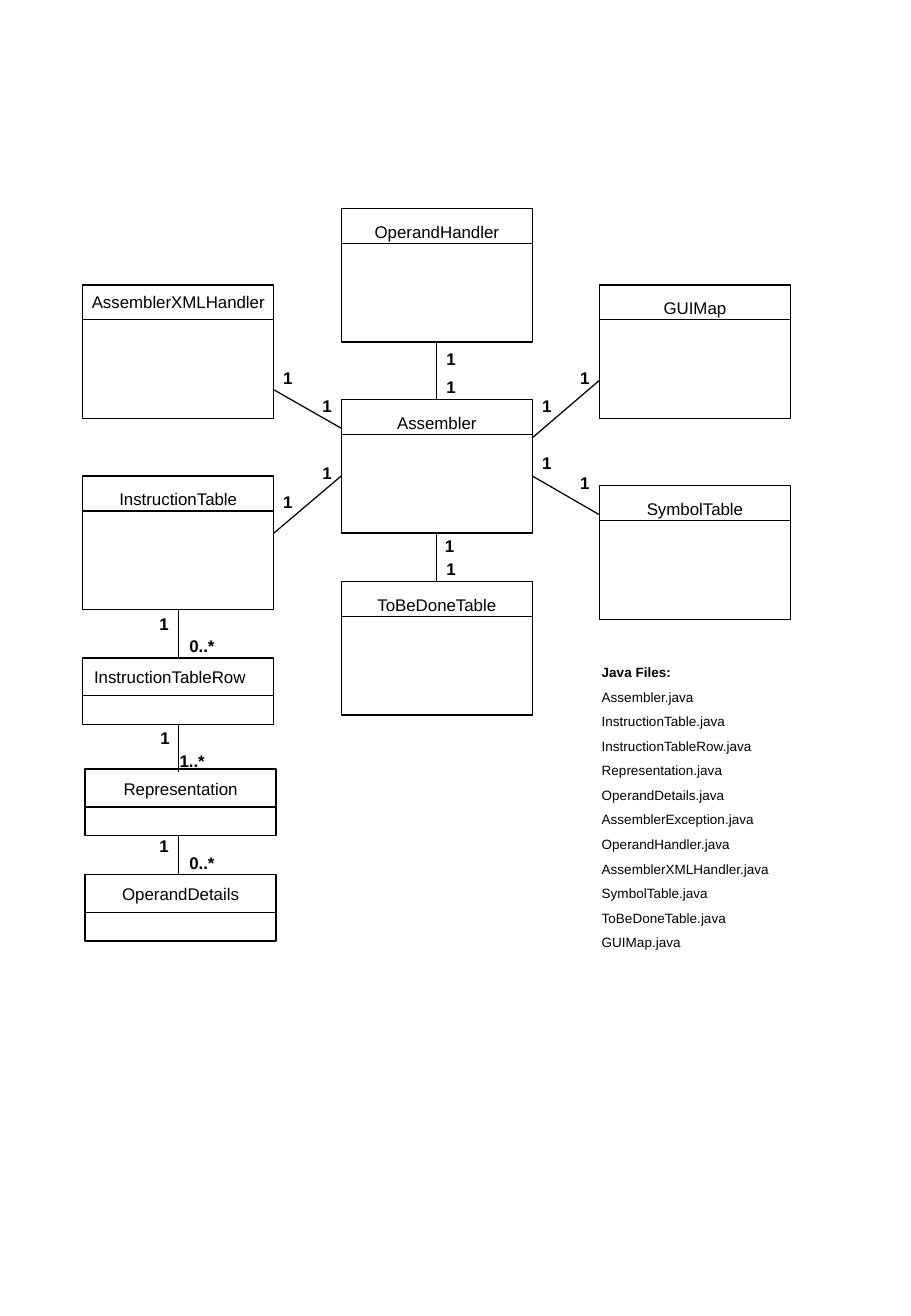
import dataclasses

import lxml.etree
import pptx
import pptx.dml.color
import pptx.enum.shapes
import pptx.enum.text
import pptx.oxml.ns
import pptx.util

Pt = pptx.util.Pt
ALIGN = pptx.enum.text.PP_ALIGN


@dataclasses.dataclass(frozen=True)
class Theme:
    ink = pptx.dml.color.RGBColor(0, 0, 0)
    font = "Arial"
    label_size = 10
    list_size = 8
    list_gap = 5
    line_width = 0.75


THEME = Theme()

# Grid, in points
SLIDE_WIDTH, SLIDE_HEIGHT = 540, 780.48
LEFT, CENTRE, RIGHT = 49, 202.3, 355.3
LOWER_LEFT = 50.4
CLASS_WIDTH = 113.2
TALL, SHORT = 79.2, 39.6
TITLE_WIDTH, LABEL_WIDTH, LABEL_HEIGHT = 104.4, 73.4, 19.4
TOP_SIDE, BOTTOM_SIDE = 0, 2

# name: left, top, height, divider offset, title offset, title shift, title width
CLASSES = {
    "ToBeDoneTable": (CENTRE, 344.9, TALL, 20.7, 4, 0, TITLE_WIDTH),
    "Assembler": (CENTRE, 237, TALL, 20.7, 4, 0, TITLE_WIDTH),
    "GUIMap": (RIGHT, 169, TALL, 20.7, 4, 0, TITLE_WIDTH),
    "InstructionTable": (LEFT, 282.4, TALL, 20.7, 4, 0, TITLE_WIDTH),
    "SymbolTable": (RIGHT, 288.1, TALL, 20.7, 4, 0, TITLE_WIDTH),
    "InstructionTableRow": (LEFT, 390.2, SHORT, 22.5, 1.9, -5, 114.5),
    "AssemblerXMLHandler": (LEFT, 169, TALL, 20.7, 0.2, 0, 124.6),
    "OperandHandler": (CENTRE, 123.7, TALL, 20.7, 4, 0, TITLE_WIDTH),
    "Representation": (LOWER_LEFT, 456.1, SHORT, 22.5, 2, 0, TITLE_WIDTH),
    "OperandDetails": (LOWER_LEFT, 518.5, SHORT, 22.5, 2, 0, TITLE_WIDTH),
}

# Upper class, lower class
JOINED_LINKS = [
    ("OperandHandler", "Assembler"),
    ("Assembler", "ToBeDoneTable"),
    ("InstructionTable", "InstructionTableRow"),
]

# Start and end heights below the instruction table row
LOWER_LINKS = [(429.8, 457.9), (495.7, 518.5)]

# Start height at one column, end height at the next
LEFT_LINKS = [(316.3, 282.3), (231.1, 254)]
RIGHT_LINKS = [(259.7, 225.6), (282.3, 305.3)]

# text, left, top
MULTIPLICITIES = [
    ("1", 60.5, 360.2), ("0..*", 83, 373.2),
    ("1", 61.2, 427.9), ("1..*", 77.2, 441.5),
    ("1", 60.5, 492), ("0..*", 83, 502),
    ("1", 133.9, 214.7), ("1", 157.2, 231.3),
    ("1", 157.2, 270.8), ("1", 133.9, 288.1),
    ("1", 230.6, 203), ("1", 230.6, 219.6),
    ("1", 229.8, 314), ("1", 230.6, 327.7),
    ("1", 287.4, 231.3), ("1", 309.9, 214.7),
    ("1", 287.4, 265.2), ("1", 309.9, 276.7),
]

JAVA_FILES = [
    "Assembler", "InstructionTable", "InstructionTableRow", "Representation",
    "OperandDetails", "AssemblerException", "OperandHandler",
    "AssemblerXMLHandler", "SymbolTable", "ToBeDoneTable", "GUIMap",
]


def format_line(line):
    line.color.rgb = THEME.ink
    line.width = Pt(THEME.line_width)


def add_line(slide, start, end):
    connector = slide.shapes.add_connector(
        pptx.enum.shapes.MSO_CONNECTOR.STRAIGHT,
        *(Pt(length) for length in (*start, *end)))
    format_line(connector.line)
    lxml.etree.SubElement(connector._element.spPr,
                          pptx.oxml.ns.qn("a:effectLst"))
    return connector


def add_text(slide, lines, left, top, width, height, size,
             alignment=ALIGN.CENTER, gap=0):
    box = slide.shapes.add_textbox(Pt(left), Pt(top), Pt(width), Pt(height))
    frame = box.text_frame
    frame.word_wrap = True
    frame.auto_size = pptx.enum.text.MSO_AUTO_SIZE.SHAPE_TO_FIT_TEXT
    frame.text = "\n".join(lines)
    for paragraph in frame.paragraphs:
        paragraph.alignment = alignment
        paragraph.space_before = Pt(gap)
        for run in paragraph.runs:
            run.font.name = THEME.font
            run.font.size = Pt(size)
            run.font.color.rgb = THEME.ink
    return frame


def add_class(slide, name, left, top, height, divider, title_offset, shift,
              title_width):
    shape = slide.shapes.add_shape(
        pptx.enum.shapes.MSO_SHAPE.RECTANGLE,
        Pt(left), Pt(top), Pt(CLASS_WIDTH), Pt(height))
    shape.shadow.inherit = False
    shape.fill.background()
    format_line(shape.line)
    add_line(slide, (left, top + divider), (left + CLASS_WIDTH, top + divider))
    title_left = left + (CLASS_WIDTH - title_width) / 2 + shift
    add_text(slide, [name], title_left, top + title_offset, title_width,
             LABEL_HEIGHT, THEME.label_size)
    return shape


def join_classes(slide, upper, lower):
    connector = add_line(slide, (0, 0), (0, 0))
    connector.begin_connect(upper, BOTTOM_SIDE)
    connector.end_connect(lower, TOP_SIDE)


def add_multiplicity(slide, text, left, top):
    frame = add_text(slide, [text], left, top, LABEL_WIDTH, LABEL_HEIGHT,
                     THEME.label_size)
    frame.paragraphs[0].runs[0].font.bold = True


def add_file_list(slide):
    lines = ["Java Files:"] + [f"{name}.java" for name in JAVA_FILES]
    frame = add_text(slide, lines, 349.6, 390.3, 124.6, 177.1,
                     THEME.list_size, ALIGN.LEFT, THEME.list_gap)
    frame.paragraphs[0].runs[0].font.bold = True


def main():
    presentation = pptx.Presentation()
    presentation.slide_width = Pt(SLIDE_WIDTH)
    presentation.slide_height = Pt(SLIDE_HEIGHT)
    slide = presentation.slides.add_slide(presentation.slide_layouts[6])

    # Class boxes
    boxes = {name: add_class(slide, name, *layout)
             for name, layout in CLASSES.items()}

    # Associations
    for upper, lower in JOINED_LINKS:
        join_classes(slide, boxes[upper], boxes[lower])
    left_axis = LEFT + CLASS_WIDTH / 2
    for start, end in LOWER_LINKS:
        add_line(slide, (left_axis, start), (left_axis, end))
    for column, next_column, links in ((LEFT, CENTRE, LEFT_LINKS),
                                       (CENTRE, RIGHT, RIGHT_LINKS)):
        for start, end in links:
            add_line(slide, (column + CLASS_WIDTH, start), (next_column, end))

    # Multiplicities
    for text, left, top in MULTIPLICITIES:
        add_multiplicity(slide, text, left, top)

    # Source files
    add_file_list(slide)
    presentation.save("out.pptx")


if __name__ == "__main__":
    main()
